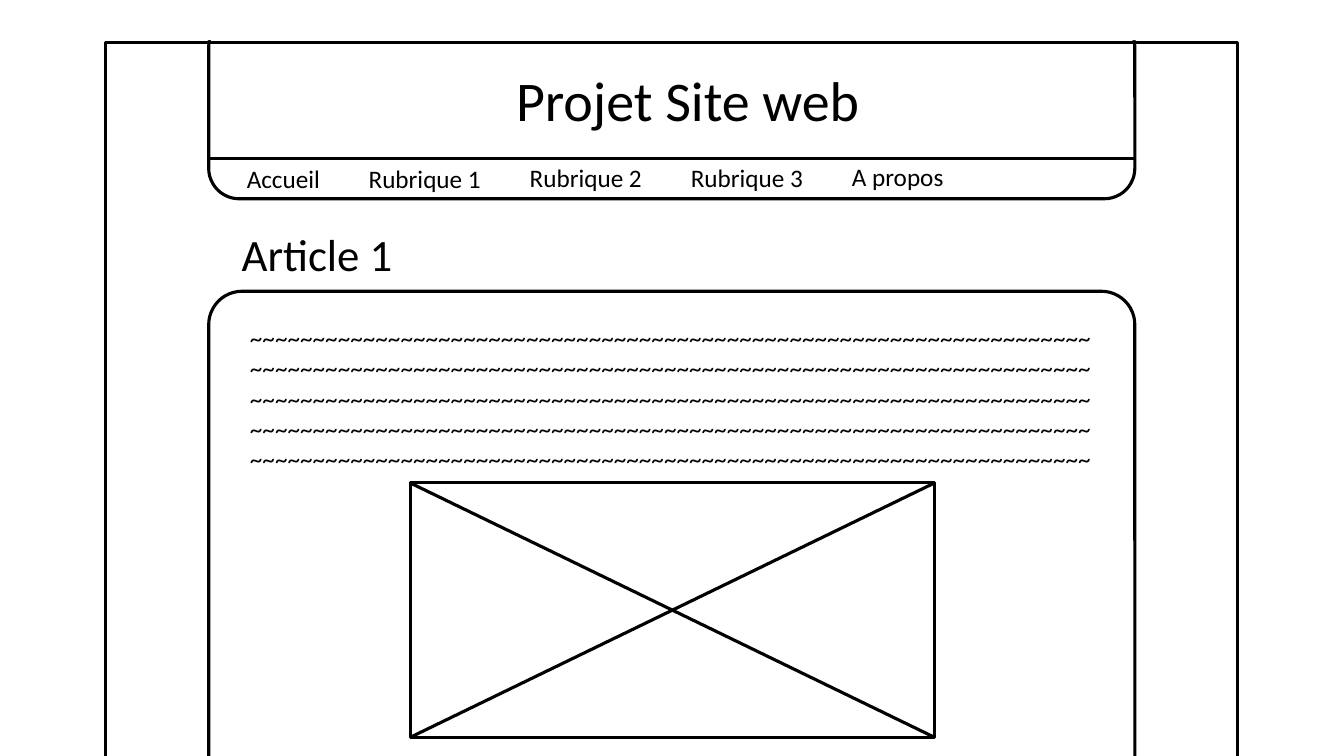
"""Build a wireframe slide of a web site's home page."""
from lxml.etree import SubElement
from pptx import Presentation
from pptx.dml.color import RGBColor
from pptx.enum.shapes import MSO_CONNECTOR, MSO_SHAPE
from pptx.enum.text import MSO_ANCHOR, MSO_AUTO_SIZE, PP_ALIGN
from pptx.oxml.ns import qn
from pptx.util import Cm, Pt

BLACK, WHITE = "000000", "FFFFFF"


def paint(fmt, color):
    fmt.solid()
    fmt.fore_color.rgb = RGBColor.from_string(color)


def write(sp, lines, size):
    tf = sp.text_frame
    tf.word_wrap = False
    tf.auto_size = MSO_AUTO_SIZE.NONE
    tf.vertical_anchor = MSO_ANCHOR.TOP
    for i, line in enumerate(lines):
        p = tf.add_paragraph() if i else tf.paragraphs[0]
        p.alignment = PP_ALIGN.LEFT
        r = p.add_run()
        r.text = line
        r.font.name = "Calibri"
        r.font.size = Pt(size)
        paint(r.font.fill, BLACK)


prs = Presentation()
prs.slide_width, prs.slide_height = Cm(33.87), Cm(19.05)
s = prs.slides.add_slide(prs.slide_layouts[5])

left, width = 5.26, 23.34
right = left + width
img_x, img_y, img_w, img_h = 10.34, 12.17, 13.21, 6.41
menu_y = 3.99

boxes = [
    (MSO_SHAPE.RECTANGLE, 2.67, 1.07, 28.52, 22.61, None, WHITE, True),
    (MSO_SHAPE.ROUNDED_RECTANGLE, left, 0.41, width, 4.6, 0.167, None, True),
    (MSO_SHAPE.ROUNDED_RECTANGLE, left, 7.34, width, 14.78, 0.057, None, True),
    (MSO_SHAPE.RECTANGLE, 4.45, 0.15, 24.82, 0.86, None, WHITE, False),
    (MSO_SHAPE.RECTANGLE, img_x, img_y, img_w, img_h, None, None, True),
]
for shape, x, y, w, h, radius, fill, outlined in boxes:
    sp = s.shapes.add_shape(shape, Cm(x), Cm(y), Cm(w), Cm(h))
    sp.shadow.inherit = False
    if radius:
        sp.adjustments[0] = radius
    if fill:
        paint(sp.fill, fill)
    else:
        sp.fill.background()
    if outlined:
        paint(sp.line.fill, BLACK)
        sp.line.width = Pt(2.25)
    else:
        sp.line.fill.background()

strokes = [
    (left, menu_y, right, menu_y),
    (img_x, img_y, img_x + img_w, img_y + img_h),
    (img_x, img_y + img_h, img_x + img_w, img_y),
]
for ends in strokes:
    cn = s.shapes.add_connector(MSO_CONNECTOR.STRAIGHT, *map(Cm, ends))
    paint(cn.line.fill, BLACK)
    cn.line.width = Pt(2.25)
    SubElement(cn.element.spPr, qn("a:effectLst"))

title = s.shapes.title
title.left, title.top, title.width, title.height = Cm(12.75), Cm(1.52), Cm(9.25), Cm(1.96)
write(title, ["Projet Site web"], 40)
s.shapes.element.append(title.element)

texts = [
    (5.84, 5.59, 4.37, 1.63, ["Article 1"], 32),
    (6.05, 8, 22, 4.1, ["~" * 67] * 5, 18),
]
x = 5.97
menu = [("Accueil", 2.39), ("Rubrique 1", 3.38), ("Rubrique 2", 3.38),
        ("Rubrique 3", 3.38), ("A propos", 2.84)]
for i, (label, w) in enumerate(menu):
    texts.append((x, menu_y - 0.01 * i, w, 1.02, [label], 18))
    x += w + 0.68
for x, y, w, h, lines, size in texts:
    write(s.shapes.add_textbox(Cm(x), Cm(y), Cm(w), Cm(h)), lines, size)

prs.save("out.pptx")
